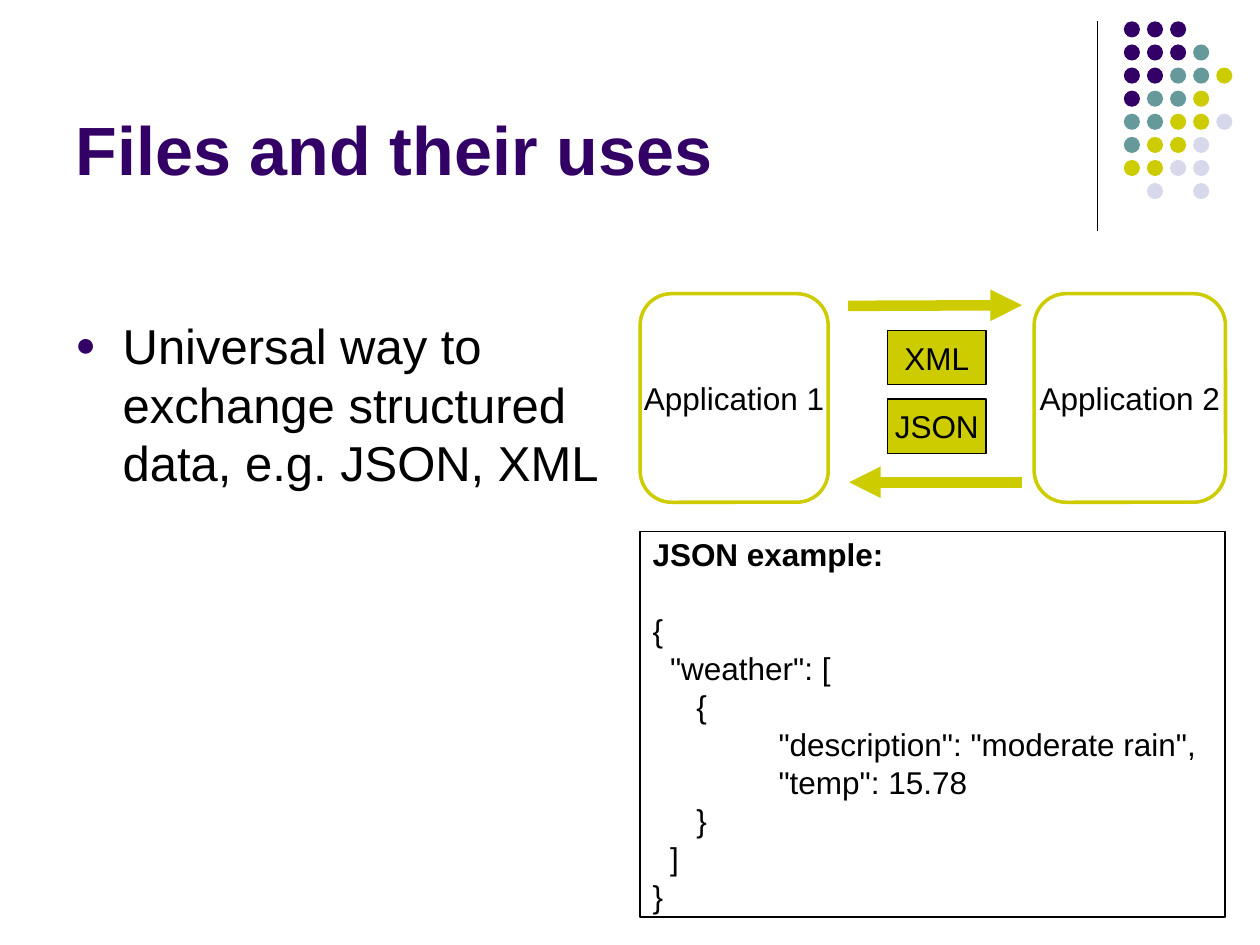
from lxml import etree
from pptx import Presentation
from pptx import util as u
from pptx.dml.color import RGBColor
from pptx.enum import shapes, text
from pptx.oxml import ns

Pt = u.Pt
WHITE = RGBColor(255, 255, 255)
BLACK = RGBColor(0, 0, 0)
PURPLE = RGBColor(0x33, 0x00, 0x66)
TEAL = RGBColor(0x66, 0x99, 0x99)
LIME = RGBColor(0xCC, 0xCC, 0x00)
PALE = RGBColor(0xD8, 0xD8, 0xEC)

DOTS = ["PPP", "PPPT", "PPTTY", "PTTY", "TTYYL", "TYYL", "YYLL", ".L.L"]
HUES = {"P": PURPLE, "T": TEAL, "Y": LIME, "L": PALE}
CODE = [
    (0, "{"),
    (10, '"weather": ['),
    (25, "{"),
    (72, '"description": "moderate rain",'),
    (72, '"temp": 15.78'),
    (25, "}"),
    (10, "]"),
    (0, "}"),
]


def add(parent, tag, **attrs):
    return etree.SubElement(parent, ns.qn(tag), attrs)


def write(par, words, size=18, color=BLACK, bold=False,
          align=text.PP_ALIGN.LEFT, pitch=None, before=0, left=0, hang=0):
    run = par.add_run()
    run.text = words
    font = run.font
    font.name, font.size, font.bold = "Arial", Pt(size), bold
    font.color.rgb = color
    par.alignment = align
    par.space_before = Pt(before)
    if pitch:
        par.line_spacing = Pt(pitch)
    props = par._p.get_or_add_pPr()
    props.set("marL", str(Pt(left)))
    props.set("indent", str(Pt(-hang)))
    return props


def place(shape, x, y, w, h):
    shape.left, shape.top, shape.width, shape.height = map(Pt, (x, y, w, h))


def title(slide, words):
    head = slide.shapes.title
    place(head, 36, 9.4, 594, 102.2)
    frame = head.text_frame
    frame.word_wrap = True
    frame.auto_size = text.MSO_AUTO_SIZE.NONE
    frame.vertical_anchor = text.MSO_ANCHOR.BOTTOM
    write(frame.paragraphs[0], words, size=39, color=PURPLE, bold=True)


def point(slide, words):
    box = slide.shapes.add_textbox(Pt(36), Pt(176.7), Pt(318.2), Pt(305.7))
    frame = box.text_frame
    frame.word_wrap = True
    props = write(frame.paragraphs[0], words, size=28, pitch=33.6,
                  left=27, hang=27)
    color = add(props, "a:buClr")
    add(color, "a:srgbClr", val=str(PURPLE))
    add(props, "a:buSzPct", val="70000")
    add(props, "a:buFont", typeface="Arial")
    add(props, "a:buChar", char="●")


def block(slide, x, y, w, h, fill, line=BLACK, width=0.75, words=None,
          kind=shapes.MSO_SHAPE.RECTANGLE):
    shape = slide.shapes.add_shape(kind, Pt(x), Pt(y), Pt(w), Pt(h))
    shape.shadow.inherit = False
    shape.fill.solid()
    shape.fill.fore_color.rgb = fill
    shape.line.color.rgb = line
    shape.line.width = Pt(width)
    frame = shape.text_frame
    frame.word_wrap = False
    frame.vertical_anchor = text.MSO_ANCHOR.MIDDLE
    if words:
        write(frame.paragraphs[0], words, align=text.PP_ALIGN.CENTER)
    return frame


def line(slide, x1, y1, x2, y2, color=BLACK, width=0.75, arrow=False):
    link = slide.shapes.add_connector(
        shapes.MSO_CONNECTOR.STRAIGHT, Pt(x1), Pt(y1), Pt(x2), Pt(y2))
    link.line.color.rgb = color
    link.line.width = Pt(width)
    if arrow:
        add(link.line._get_or_add_ln(), "a:tailEnd", type="triangle")
    add(link._element.spPr, "a:effectLst")


def dots(slide):
    group = slide.shapes.add_group_shape()
    for row, marks in enumerate(DOTS):
        for col, mark in enumerate(marks):
            if mark in HUES:
                dot = group.shapes.add_shape(
                    shapes.MSO_SHAPE.OVAL, Pt(642.2 + 13.2 * col),
                    Pt(12.2 + 13.2 * row), Pt(9.2), Pt(9.2))
                dot.shadow.inherit = False
                dot.fill.solid()
                dot.fill.fore_color.rgb = HUES[mark]
                dot.line.fill.background()


def sample(slide):
    frame = block(slide, 365.8, 303.8, 334.2, 220.3, WHITE)
    frame.word_wrap = True
    frame.margin_top = frame.margin_bottom = 0
    pitch = 21.7
    write(frame.paragraphs[0], "JSON example:", bold=True, pitch=pitch)
    for row, (left, words) in enumerate(CODE):
        write(frame.add_paragraph(), words, left=left, pitch=pitch,
              before=0 if row else pitch)


def main():
    deck = Presentation()
    deck.slide_width, deck.slide_height = Pt(720), Pt(540)
    slide = deck.slides.add_slide(deck.slide_layouts[5])
    line(slide, 627, 12, 627, 132)
    dots(slide)
    title(slide, "Files and their uses")
    point(slide, "Universal way to exchange structured data, e.g. JSON, XML")
    for y, words in ((188.8, "XML"), (228, "JSON")):
        block(slide, 507.2, y, 56.3, 31, LIME, words=words)
    line(slide, 484.7, 174.8, 584, 174.4, LIME, 6, True)
    line(slide, 584, 275.6, 485.2, 275.6, LIME, 6, True)
    for x, w, words in ((365.8, 107.5, "Application 1"),
                        (590.9, 109.4, "Application 2")):
        block(slide, x, 167.8, w, 119.2, WHITE, LIME, 2, words,
              shapes.MSO_SHAPE.ROUNDED_RECTANGLE)
    sample(slide)
    deck.save("out.pptx")


if __name__ == "__main__":
    main()
